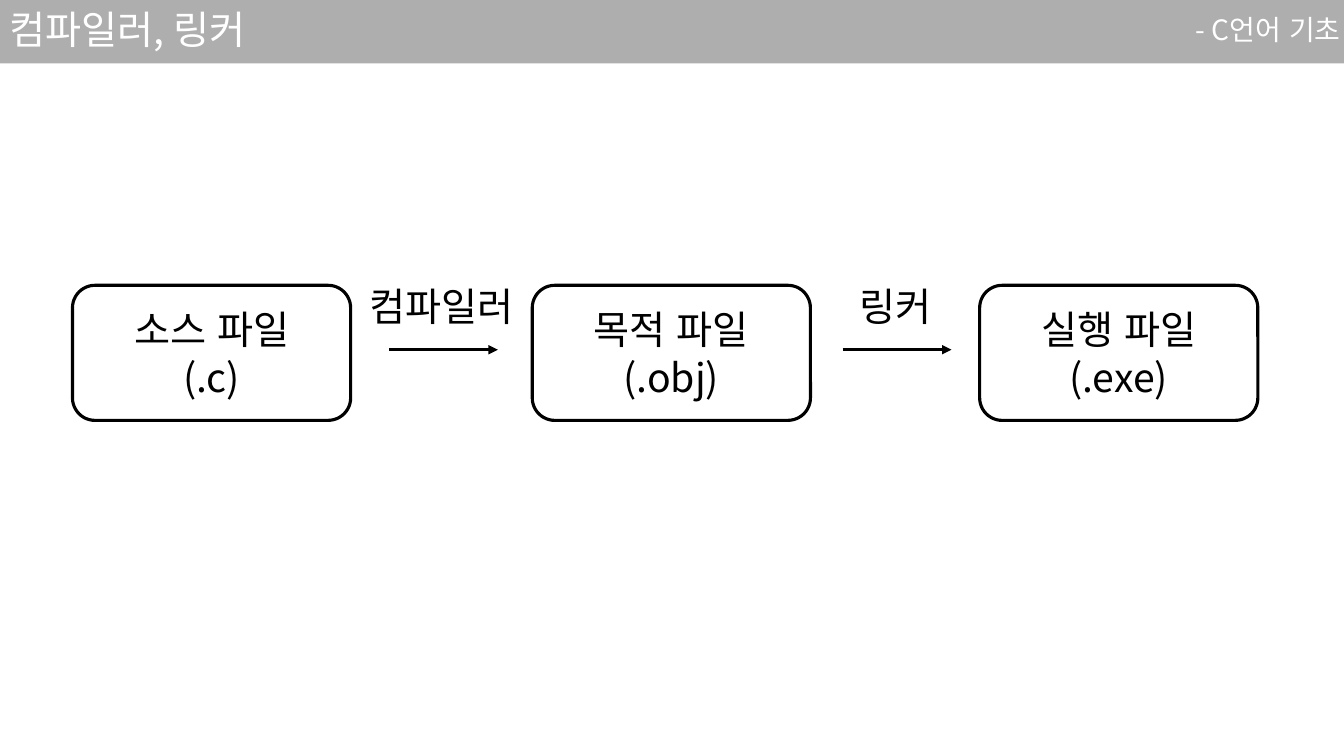
from dataclasses import dataclass
from itertools import pairwise

from pptx import Presentation
from pptx.dml.color import RGBColor
from pptx.enum.lang import MSO_LANGUAGE_ID
from pptx.enum.shapes import MSO_CONNECTOR, MSO_SHAPE
from pptx.enum.text import MSO_ANCHOR, PP_ALIGN
from pptx.oxml.ns import qn
from pptx.util import Pt
from lxml import etree

LEFT, CENTER, RIGHT = PP_ALIGN.LEFT, PP_ALIGN.CENTER, PP_ALIGN.RIGHT
MIDDLE = MSO_ANCHOR.MIDDLE
RECTANGLE, ROUNDED = MSO_SHAPE.RECTANGLE, MSO_SHAPE.ROUNDED_RECTANGLE
STRAIGHT = MSO_CONNECTOR.STRAIGHT
KOREAN = MSO_LANGUAGE_ID.KOREAN


@dataclass(frozen=True)
class Theme:
    font: str = "Noto Sans CJK KR"
    ink: RGBColor = RGBColor(0, 0, 0)
    light: RGBColor = RGBColor(255, 255, 255)
    header: RGBColor = RGBColor(0x18, 0x17, 0x17)
    header_opacity: int = 35000
    body_size: float = 28
    course_size: float = 20
    line_width: float = 2.25


class SlideBuilder:
    """Draws styled elements on the current slide, with lengths in points."""

    def __init__(self, slide, theme):
        self.slide = slide
        self.theme = theme

    def set_text(self, shape, text, size, color, align, line_spacing=1.0):
        frame = shape.text_frame
        frame.text = text
        frame.vertical_anchor = MIDDLE
        for paragraph in frame.paragraphs:
            paragraph.alignment = align
            paragraph.line_spacing = line_spacing
            for run in paragraph.runs:
                run.font.size = Pt(size)
                run.font.name = self.theme.font
                run.font.color.rgb = color
                run.font.language_id = KOREAN
                properties = run.font._element
                etree.SubElement(properties, qn("a:ea"), typeface=self.theme.font)

    def text(self, box, text, size, color, align, wrap=True, line_spacing=1.0):
        shape = self.slide.shapes.add_textbox(*map(Pt, box))
        shape.text_frame.word_wrap = wrap
        self.set_text(shape, text, size, color, align, line_spacing)

    def header_bar(self, width, height):
        shape = self.slide.shapes.add_shape(RECTANGLE, 0, 0, Pt(width), Pt(height))
        shape.shadow.inherit = False
        shape.line.fill.background()
        shape.fill.solid()
        shape.fill.fore_color.rgb = self.theme.header
        color = shape._element.spPr.find(".//" + qn("a:srgbClr"))
        etree.SubElement(color, qn("a:alpha"), val=str(self.theme.header_opacity))

    def file_box(self, box, text):
        shape = self.slide.shapes.add_shape(ROUNDED, *map(Pt, box))
        shape.shadow.inherit = False
        shape.fill.background()
        shape.line.color.rgb = self.theme.ink
        shape.line.width = Pt(self.theme.line_width)
        self.set_text(shape, text, self.theme.body_size, self.theme.ink, CENTER)

    def arrow(self, left, right, y):
        connector = self.slide.shapes.add_connector(
            STRAIGHT, Pt(left), Pt(y), Pt(right), Pt(y))
        connector.line.color.rgb = self.theme.ink
        connector.line.width = Pt(self.theme.line_width)
        properties = connector._element.spPr
        etree.SubElement(properties.find(qn("a:ln")), qn("a:tailEnd"), type="triangle")
        etree.SubElement(properties, qn("a:effectLst"))


SLIDE_WIDTH, SLIDE_HEIGHT = 960, 540
BOX_TOP, BOX_WIDTH, BOX_HEIGHT = 203.8, 198.7, 96.5
BOX_LEFTS = (51.8, 380.2, 699.8)
FILES = ("소스 파일\n(.c)", "목적 파일\n(.obj)", "실행 파일\n(.exe)")
TOOLS = ("컴파일러", "링커")
LABEL_TOP, LABEL_WIDTH, LABEL_HEIGHT = 198, 118, 41
ARROW_Y, ARROW_LENGTH, ARROW_SHIFT = 249.8, 77.8, 1.4

theme = Theme()
presentation = Presentation()
presentation.slide_width = Pt(SLIDE_WIDTH)
presentation.slide_height = Pt(SLIDE_HEIGHT)
builder = SlideBuilder(
    presentation.slides.add_slide(presentation.slide_layouts[6]), theme)

builder.header_bar(SLIDE_WIDTH, 45.4)
builder.text((0, 3.6, 529, 38.2), "컴파일러, 링커",
             theme.body_size, theme.light, LEFT, line_spacing=0.9)
builder.text((573.8, 7.9, 391, 29.5), "- C언어 기초",
             theme.course_size, theme.light, RIGHT, line_spacing=0.9)

for left, file in zip(BOX_LEFTS, FILES):
    builder.file_box((left, BOX_TOP, BOX_WIDTH, BOX_HEIGHT), file)

for (left, following), tool in zip(pairwise(BOX_LEFTS), TOOLS):
    middle = (left + BOX_WIDTH + following) / 2
    arrow_left = middle + ARROW_SHIFT - ARROW_LENGTH / 2
    builder.arrow(arrow_left, arrow_left + ARROW_LENGTH, ARROW_Y)
    builder.text((middle - LABEL_WIDTH / 2, LABEL_TOP, LABEL_WIDTH, LABEL_HEIGHT), tool,
                 theme.body_size, theme.ink, CENTER, wrap=False)

presentation.save("out.pptx")
